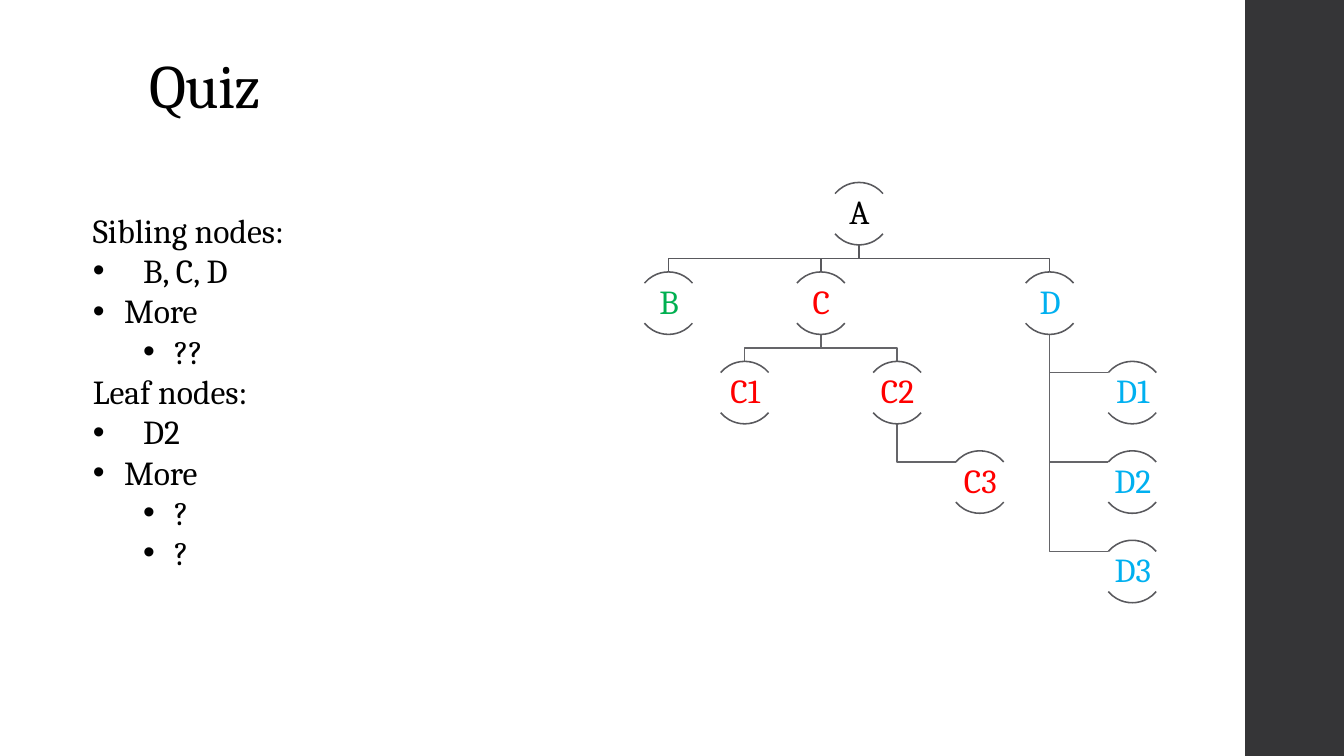
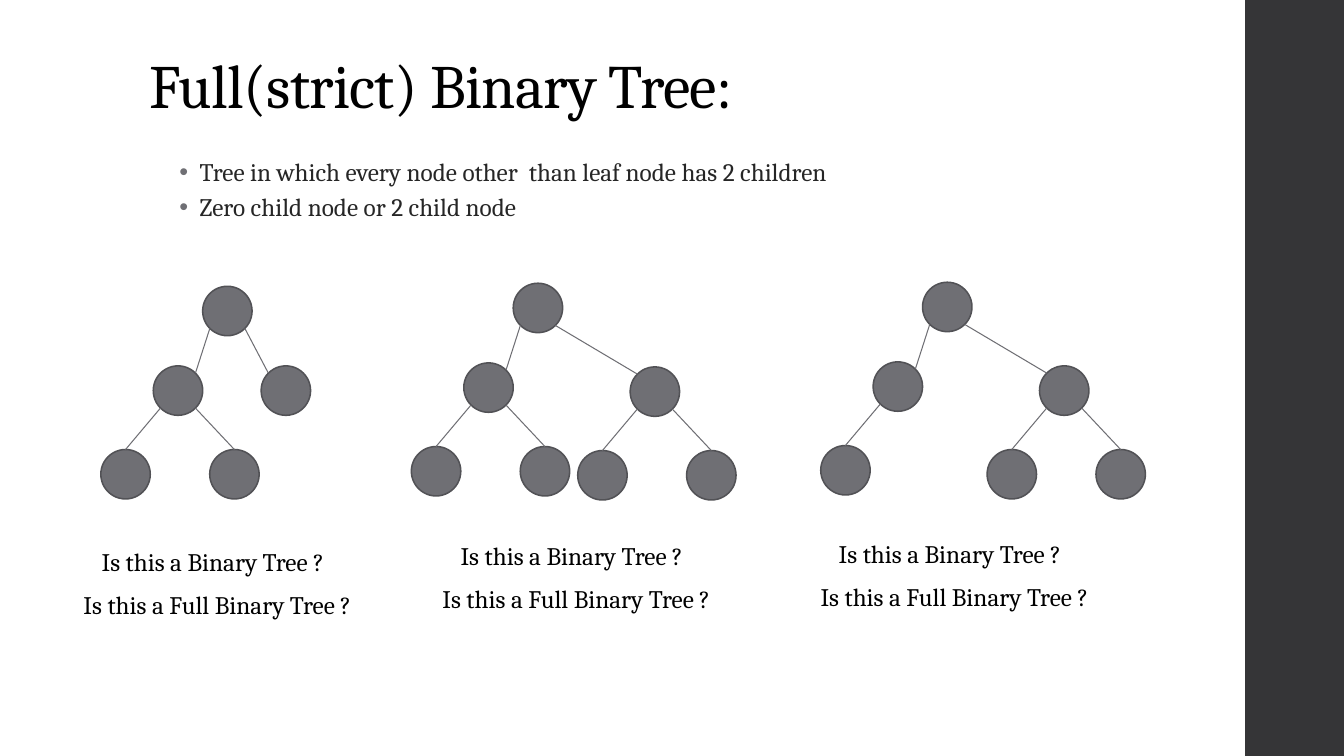
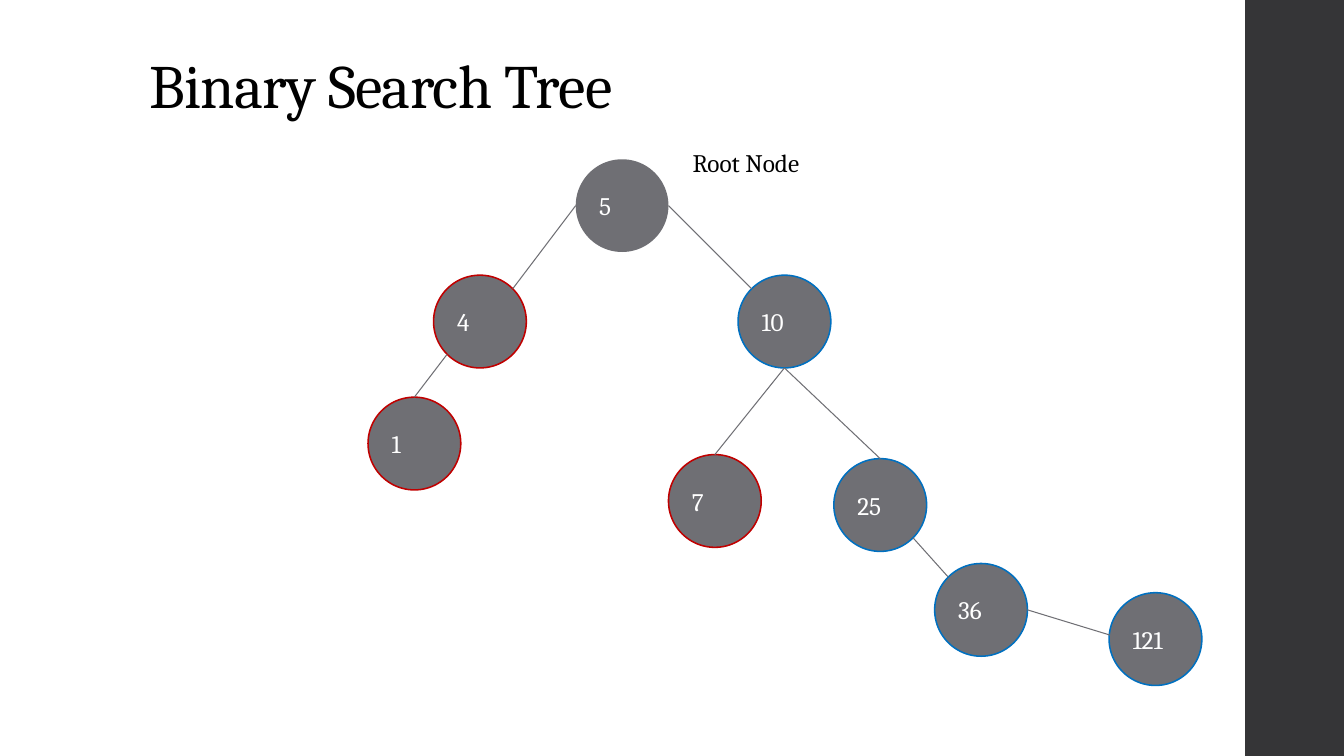
from lxml import etree
from pptx import Presentation
from pptx.dml.color import RGBColor
from pptx.enum import shapes, text
from pptx.oxml.ns import qn
from pptx.util import Inches, Pt

FONT = "Cambria"
BLACK, WHITE, INK, BAND = "000000", "FFFFFF", "262626", "353537"
GREY, RIM, ARC_LINE, BRANCH = "6F6F74", "525256", "59595D", "656569"
GREEN, RED, SKY, CRIMSON, BLUE = "00B050", "FF0000", "00B0F0", "C00000", "0070C0"

# Slide 1: (text, bullet level), level None being a plain heading
QUIZ = [
    ("Sibling nodes:", None), ("B, C, D", "answer"), ("More", "item"), ("??", "sub"),
    ("Leaf nodes:", None), ("D2", "answer"), ("More", "item"), ("?", "sub"), ("?", "sub"),
]
QUIZ_INDENTS = {None: (0, 0), "answer": (0.5, -0.5), "item": (0.31, -0.31), "sub": (0.81, -0.31)}
# name: (parent, half-column, row, colour, hangs beside its parent)
CHART_NODES = {
    "A": (None, 5, 0, BLACK, False),
    "B": ("A", 0, 1, GREEN, False),
    "C": ("A", 4, 1, RED, False),
    "C1": ("C", 2, 2, RED, False),
    "C2": ("C", 6, 2, RED, False),
    "C3": ("C2", 6, 3, RED, True),
    "D": ("A", 10, 1, SKY, False),
    "D1": ("D", 10, 2, SKY, True),
    "D2": ("D", 10, 3, SKY, True),
    "D3": ("D", 10, 4, SKY, True),
}

# Slide 2
FULL_TREE_RULES = [
    "Tree in which every node other  than leaf node has 2 children",
    "Zero child node or 2 child node",
]
QUESTIONS = ["Is this a Binary Tree ?", "Is this a Full Binary Tree ?"]
# root corner, question corner, [(child offset, side, sides of its own children)]
BINARY_TREES = [
    ((2.01, 2.84), (0.91, 5.37), [((-0.49, 0.79), "left", ["left", "right"]),
                                  ((0.58, 0.79), "right", [])]),
    ((5.09, 2.81), (4.47, 5.31), [((-0.49, 0.79), "left", ["left", "right"]),
                                  ((1.16, 0.83), "right", ["left", "right"])]),
    ((9.15, 2.80), (8.22, 5.29), [((-0.49, 0.79), "left", ["left"]),
                                  ((1.16, 0.83), "right", ["left", "right"])]),
]
LEAF_OFFSETS = {"left": (-0.52, 0.83), "right": (0.56, 0.83)}

# Slide 3: key: (left, top, outline)
SEARCH_NODES = {
    "5": (5.71, 1.58, None), "4": (4.30, 2.73, CRIMSON), "1": (3.65, 3.94, CRIMSON),
    "10": (7.32, 2.73, BLUE), "7": (6.63, 4.51, CRIMSON), "25": (8.27, 4.55, BLUE),
    "36": (9.27, 5.59, BLUE), "121": (11.00, 5.88, BLUE),
}
SEARCH_EDGES = [
    ("5", "left", "4", "top right"), ("5", "right", "10", "top left"),
    ("4", "bottom left", "1", "top"), ("10", "bottom", "7", "top"),
    ("10", "bottom", "25", "top"), ("25", "bottom right", "36", "top left"),
    ("36", "right", "121", "inner left"),
]
# Points of a circle, in radii from its centre
SITES = {
    "top": (0, -1), "bottom": (0, 1), "left": (-1, 0), "right": (1, 0),
    "top left": (-0.71, -0.71), "top right": (0.71, -0.71),
    "bottom left": (-0.71, 0.71), "bottom right": (0.71, 0.71), "inner left": (-0.7, 0),
}


def rgb(color):
    return RGBColor.from_string(color)


def box(*lengths):
    return [Inches(length) for length in lengths]


def style(paragraph, size, color):
    font = paragraph.font
    font.name, font.size, font.color.rgb = FONT, Pt(size), rgb(color)


def outline(shape, color, width=1.1):
    if color is None:
        shape.line.fill.background()
    else:
        shape.line.color.rgb, shape.line.width = rgb(color), Pt(width)


def add_solid(slide, kind, at, fill, line=None):
    shape = slide.shapes.add_shape(kind, *box(*at))
    shape.shadow.inherit = False
    shape.fill.solid()
    shape.fill.fore_color.rgb = rgb(fill)
    outline(shape, line)
    return shape


def add_label(slide, label, at, size=18, color=BLACK):
    frame = slide.shapes.add_textbox(*box(*at)).text_frame
    frame.word_wrap = True
    frame.text = label
    style(frame.paragraphs[0], size, color)
    return frame


def add_edge(slide, start, end):
    edge = slide.shapes.add_connector(shapes.MSO_CONNECTOR.STRAIGHT, *box(*start, *end))
    outline(edge, GREY, 0.75)
    etree.SubElement(edge._element.spPr, qn("a:effectLst"))


def site(corner, size, name):
    """Point on the circle of that corner and diameter."""
    return [c + size / 2 * (1 + d) for c, d in zip(corner, SITES[name])]


def indent(paragraph, margin, hanging, bullet=True, bullet_color=None):
    props = paragraph._p.get_or_add_pPr()
    props.set("marL", str(Inches(margin)))
    props.set("indent", str(Inches(hanging)))
    if not bullet:
        etree.SubElement(props, qn("a:buNone"))
        return
    if bullet_color:
        color = etree.SubElement(props, qn("a:buClr"))
        etree.SubElement(color, qn("a:srgbClr"), val=bullet_color)
    etree.SubElement(props, qn("a:buFont"), typeface="Arial")
    etree.SubElement(props, qn("a:buChar"), char="•")


def place(placeholder, at):
    placeholder.left, placeholder.top, placeholder.width, placeholder.height = box(*at)
    placeholder.text_frame.auto_size = text.MSO_AUTO_SIZE.NONE
    return placeholder.text_frame


def add_slide(prs, layout, heading):
    slide = prs.slides.add_slide(prs.slide_layouts[layout])
    frame = place(slide.shapes.title, (1.38, 0.4, 10.6, 0.86))
    frame.vertical_anchor = text.MSO_ANCHOR.BOTTOM
    frame.text = heading
    title = frame.paragraphs[0]
    title.alignment, title.line_spacing = text.PP_ALIGN.LEFT, 0.9
    style(title, 44, BLACK)
    title.font._element.set("spc", "-50")
    return slide


def add_band(prs, slide):
    """Put the dark side band on the master, behind everything."""
    band = add_solid(slide, shapes.MSO_SHAPE.RECTANGLE, (12.35, 0, 0.98, 7.5), BAND)
    prs.slide_master.shapes._spTree.insert(2, band._element)


def fill_list(slide, at, lines):
    frame = place(slide.placeholders[1], at)
    frame.text = "\n".join(lines)
    return frame.paragraphs


def draw_quiz_tree(slide):
    half_column, row_pitch, size, hang = 0.378, 0.8875, 0.62, 0.82
    spots = {name: (6.63 + column * half_column + hang * beside, 1.81 + row * row_pitch)
             for name, (_, column, row, _, beside) in CHART_NODES.items()}

    for name, (parent, _, row, _, beside) in CHART_NODES.items():
        if parent is None:
            continue
        x, y = spots[name]
        start_x, start_y = spots[parent][0], spots[parent][1] + size
        if beside:
            bends = [(start_x, y + 0.11), (x - 0.24, y + 0.11)]
        else:
            middle = (start_y + y) / 2
            bends = [(start_x, middle), (x, middle), (x, y)]
        path = slide.shapes.build_freeform(*box(start_x, start_y))
        path.add_line_segments([box(*bend) for bend in bends], close=False)
        branch = path.convert_to_shape()
        branch.shadow.inherit = False
        branch.fill.background()
        outline(branch, ARC_LINE if row == 1 else BRANCH)

    for name, (x, y) in spots.items():
        for angles in ((132, 192), (24, 84)):
            arc = slide.shapes.add_shape(shapes.MSO_SHAPE.ARC,
                                         *box(x - size / 2, y, size, size))
            arc.shadow.inherit = False
            arc.fill.background()
            arc.adjustments[0], arc.adjustments[1] = angles
            outline(arc, ARC_LINE)
        frame = add_label(slide, name, (x - 0.62, y + 0.11, 1.25, 0.4), 24, CHART_NODES[name][3])
        frame.vertical_anchor = text.MSO_ANCHOR.MIDDLE
        frame.margin_left = frame.margin_right = Inches(0.02)
        frame.margin_top = frame.margin_bottom = Inches(0.02)
        frame.paragraphs[0].alignment = text.PP_ALIGN.CENTER
        frame.paragraphs[0].line_spacing = 0.9


def draw_binary_tree(slide, root, children):
    size = 0.49

    def add_node(corner):
        add_solid(slide, shapes.MSO_SHAPE.OVAL, (*corner, size, size), GREY, RIM)

    def add_child(parent, offset, side, end):
        corner = [p + o for p, o in zip(parent, offset)]
        add_node(corner)
        add_edge(slide, site(parent, size, "bottom " + side), site(corner, size, end))
        return corner

    add_node(root)
    for offset, side, leaves in children:
        facing = "top right" if side == "left" else "top left"
        child = add_child(root, offset, side, facing)
        for leaf in leaves:
            add_child(child, LEAF_OFFSETS[leaf], leaf, "top")


def quiz_slide(prs):
    slide = add_slide(prs, 1, "Quiz")
    add_band(prs, slide)
    lines = fill_list(slide, (0.82, 2.03, 5.3, 3.74), [line for line, _ in QUIZ])
    for paragraph, (_, level) in zip(lines, QUIZ):
        paragraph.level = 1 if level == "sub" else 0
        paragraph.space_before = Pt(0)
        indent(paragraph, *QUIZ_INDENTS[level], bullet=level is not None)
        style(paragraph, 24, BLACK)
    draw_quiz_tree(slide)


def full_tree_slide(prs):
    slide = add_slide(prs, 1, "Full(strict) Binary Tree:")
    rules = fill_list(slide, (1.38, 1.53, 9.4, 1.25), FULL_TREE_RULES)
    for i, paragraph in enumerate(rules):
        paragraph.level, paragraph.line_spacing = 1, 0.9
        paragraph.space_before, paragraph.space_after = Pt(3 if i else 0), Pt(3)
        indent(paragraph, 0.5, -0.2, bullet_color=GREY)
        style(paragraph, 18, INK)
    for root, (left, top), children in BINARY_TREES:
        draw_binary_tree(slide, root, children)
        for i, question in enumerate(QUESTIONS):
            add_label(slide, question, (left - 0.18 * i, top + 0.43 * i, 2.88 + 0.48 * i, 0.4))


def search_tree_slide(prs):
    slide = add_slide(prs, 5, "Binary Search Tree")
    size = 0.92
    for key, (left, top, rim) in SEARCH_NODES.items():
        node = add_solid(slide, shapes.MSO_SHAPE.OVAL, (left, top, size, size), GREY, rim)
        node.text_frame.text = key
        style(node.text_frame.paragraphs[0], 18, WHITE)
    for parent, start, child, end in SEARCH_EDGES:
        add_edge(slide, site(SEARCH_NODES[parent][:2], size, start),
                 site(SEARCH_NODES[child][:2], size, end))
    add_label(slide, "Root Node", (6.77, 1.41, 1.41, 0.4))


def main():
    prs = Presentation()
    prs.slide_width, prs.slide_height = box(13.33, 7.5)
    quiz_slide(prs)
    full_tree_slide(prs)
    search_tree_slide(prs)
    prs.save("out.pptx")


if __name__ == "__main__":
    main()
